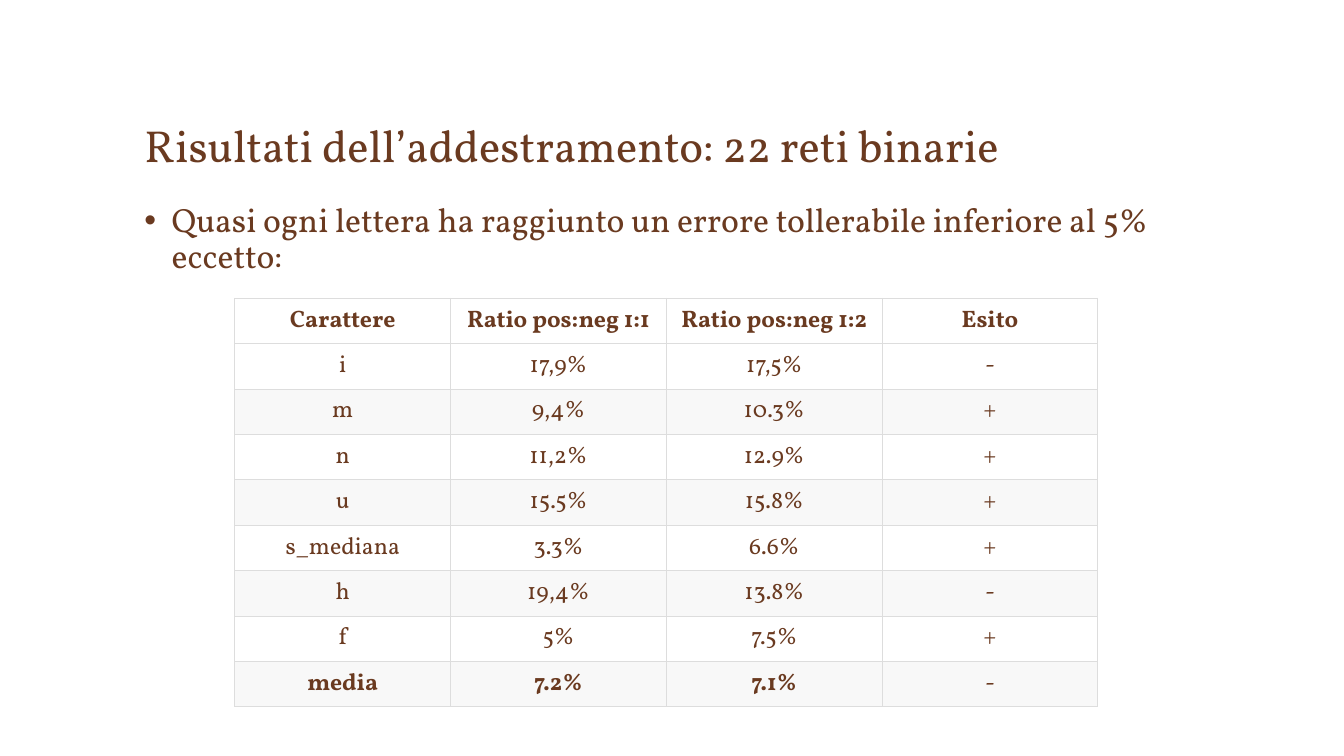
from dataclasses import dataclass

from lxml import etree
from pptx import Presentation
from pptx.dml.color import RGBColor
from pptx.enum.text import MSO_ANCHOR, MSO_AUTO_SIZE, PP_ALIGN
from pptx.oxml.ns import qn
from pptx.util import Inches, Pt

LEFT, CENTER = PP_ALIGN.LEFT, PP_ALIGN.CENTER
TOP, MIDDLE, BOTTOM = MSO_ANCHOR.TOP, MSO_ANCHOR.MIDDLE, MSO_ANCHOR.BOTTOM

# Content
TITLE = "Risultati dell’addestramento: 22 reti binarie"
BULLET = "Quasi ogni lettera ha raggiunto un errore tollerabile inferiore al 5% eccetto:"
RESULTS = [
    ("Carattere", "Ratio pos:neg 1:1", "Ratio pos:neg 1:2", "Esito"),
    ("i", "17,9%", "17,5%", "-"),
    ("m", "9,4%", "10.3%", "+"),
    ("n", "11,2%", "12.9%", "+"),
    ("u", "15.5%", "15.8%", "+"),
    ("s_mediana", "3.3%", "6.6%", "+"),
    ("h", "19,4%", "13.8%", "-"),
    ("f", "5%", "7.5%", "+"),
    ("media", "7.2%", "7.1%", "-"),
]


@dataclass(frozen=True)
class Theme:
    font: str = "Vollkorn"
    ink: str = "6A3A20"
    border: str = "DDDDDD"
    plain_row: str = "FFFFFF"
    shaded_row: str = "F8F8F8"
    title_size: int = 32
    body_size: int = 24
    table_size: int = 17
    border_width: float = 0.75


THEME = Theme()

# Layout in inches
SLIDE_WIDTH, SLIDE_HEIGHT = 13.33, 7.5
MARGIN = SLIDE_WIDTH * 0.1
CONTENT_WIDTH = SLIDE_WIDTH - 2 * MARGIN
TITLE_TOP, TITLE_HEIGHT = 0.47, 1.28
BODY_TOP, BODY_HEIGHT = 1.97, 4.67
BULLET_INDENT = 0.27
TABLE_LEFT, TABLE_TOP = 2.33, 2.96
COLUMN_WIDTH, ROW_HEIGHT = 2.14, 0.4
CELL_MARGIN_X, CELL_MARGIN_Y = 0.13, 0.06


def add_run(paragraph, text, size, bold=False):
    run = paragraph.add_run()
    run.text = text
    font = run.font
    font.name, font.size, font.bold = THEME.font, Pt(size), bold
    font.color.rgb = RGBColor.from_string(THEME.ink)


def add_color(parent, color):
    etree.SubElement(parent, qn("a:srgbClr"), val=color)


def fill_placeholder(shape, top, height, text, size, anchor):
    shape.left, shape.top = Inches(MARGIN), Inches(top)
    shape.width, shape.height = Inches(CONTENT_WIDTH), Inches(height)
    frame = shape.text_frame
    frame.auto_size = MSO_AUTO_SIZE.NONE
    frame.word_wrap = True
    frame.vertical_anchor = anchor
    paragraph = frame.paragraphs[0]
    paragraph.alignment = LEFT
    add_run(paragraph, text, size)
    return paragraph


def add_bullet(paragraph):
    paragraph.line_spacing = 0.9
    paragraph.space_before = Pt(18)
    properties = paragraph._p.get_or_add_pPr()
    properties.set("marL", str(Inches(BULLET_INDENT)))
    properties.set("indent", str(-Inches(BULLET_INDENT)))
    add_color(etree.SubElement(properties, qn("a:buClr")), THEME.ink)
    etree.SubElement(properties, qn("a:buFont"), typeface="Arial")
    etree.SubElement(properties, qn("a:buChar"), char="•")


def add_borders(cell):
    properties = cell._tc.get_or_add_tcPr()
    for side in ("a:lnL", "a:lnR", "a:lnT", "a:lnB"):
        line = etree.SubElement(properties, qn(side), w=str(Pt(THEME.border_width)))
        add_color(etree.SubElement(line, qn("a:solidFill")), THEME.border)


def fill_cell(cell, text, bold, fill):
    add_borders(cell)
    cell.fill.solid()
    cell.fill.fore_color.rgb = RGBColor.from_string(fill)
    cell.margin_left = cell.margin_right = Inches(CELL_MARGIN_X)
    cell.margin_top = cell.margin_bottom = Inches(CELL_MARGIN_Y)
    cell.vertical_anchor = MIDDLE
    paragraph = cell.text_frame.paragraphs[0]
    paragraph.alignment = CENTER
    add_run(paragraph, text, THEME.table_size, bold)


def add_results_table(slide):
    row_count, column_count = len(RESULTS), len(RESULTS[0])
    table = slide.shapes.add_table(
        row_count, column_count, Inches(TABLE_LEFT), Inches(TABLE_TOP),
        Inches(column_count * COLUMN_WIDTH), Inches(row_count * ROW_HEIGHT),
    ).table
    last_row, last_column = row_count - 1, column_count - 1
    for row, values in enumerate(RESULTS):
        # Every second row below the first result is shaded
        shaded = row > 0 and row % 2 == 0
        fill = THEME.shaded_row if shaded else THEME.plain_row
        for column, text in enumerate(values):
            # Headings and the averages are bold, the final outcome is not
            bold = row == 0 or (row == last_row and column < last_column)
            fill_cell(table.cell(row, column), text, bold, fill)


def main():
    presentation = Presentation()
    presentation.slide_width = Inches(SLIDE_WIDTH)
    presentation.slide_height = Inches(SLIDE_HEIGHT)
    slide = presentation.slides.add_slide(presentation.slide_layouts[1])

    # Title and introduction
    fill_placeholder(slide.shapes.title, TITLE_TOP, TITLE_HEIGHT,
                     TITLE, THEME.title_size, BOTTOM)
    introduction = fill_placeholder(slide.placeholders[1], BODY_TOP, BODY_HEIGHT,
                                    BULLET, THEME.body_size, TOP)
    add_bullet(introduction)

    # Error rates per letter
    add_results_table(slide)
    presentation.save("out.pptx")


if __name__ == "__main__":
    main()
